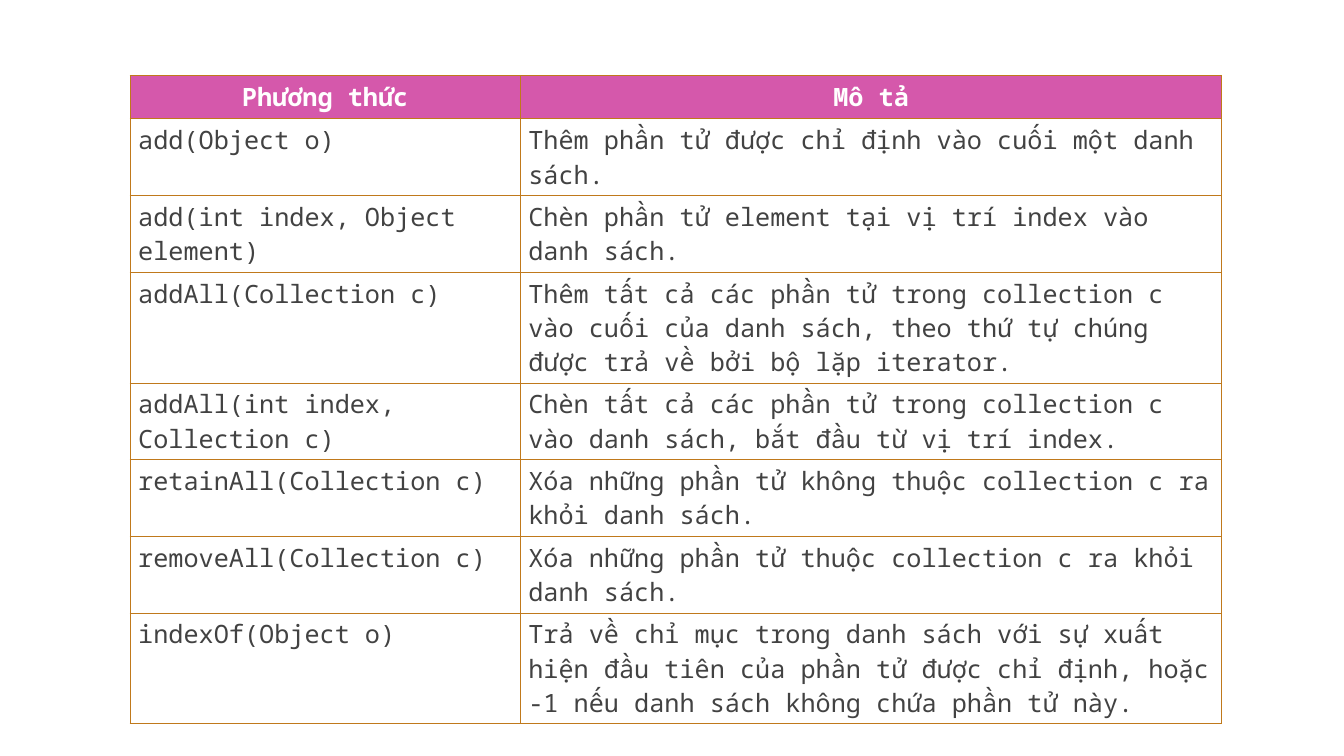
from lxml.etree import SubElement
from pptx import Presentation
from pptx.dml.color import RGBColor
from pptx.enum.text import MSO_ANCHOR as Anchor, PP_ALIGN as Align
from pptx.oxml.ns import qn
from pptx.util import Inches, Pt

HEADER = ("Phương thức", "Mô tả")
METHODS = [
    ("add(Object o)", "Thêm phần tử được chỉ định vào cuối một danh sách."),
    ("add(int index, Object element)",
     "Chèn phần tử element tại vị trí index vào danh sách."),
    ("addAll(Collection c)",
     "Thêm tất cả các phần tử trong collection c vào cuối của danh sách, "
     "theo thứ tự chúng được trả về bởi bộ lặp iterator."),
    ("addAll(int index, Collection c)",
     "Chèn tất cả các phần tử trong collection c vào danh sách, "
     "bắt đầu từ vị trí index."),
    ("retainAll(Collection c)",
     "Xóa những phần tử không thuộc collection c ra khỏi danh sách."),
    ("removeAll(Collection c)",
     "Xóa những phần tử thuộc collection c ra khỏi danh sách."),
    ("indexOf(Object o)",
     "Trả về chỉ mục trong danh sách với sự xuất hiện đầu tiên của phần tử "
     "được chỉ định, hoặc -1 nếu danh sách không chứa phần tử này."),
]
COLUMN_WIDTHS = (3.87, 6.96)
ROW_HEIGHTS = (0.43, 0.73, 0.73, 1.04, 0.73, 0.73, 0.73, 1.04)

FONT = "Noto Sans Mono"
PINK = RGBColor(0xD5, 0x58, 0xAB)
WHITE = RGBColor(0xFF, 0xFF, 0xFF)
GREY = RGBColor(0x42, 0x42, 0x42)
OCHRE = RGBColor(0xC0, 0x79, 0x1B)


def add_borders(cell):
    properties = cell._tc.get_or_add_tcPr()
    for position, side in enumerate(("lnL", "lnR", "lnT", "lnB")):
        line = SubElement(properties, qn(f"a:{side}"), w=str(Pt(0.8)))
        fill = SubElement(line, qn("a:solidFill"))
        SubElement(fill, qn("a:srgbClr"), val=str(OCHRE))
        properties.insert(position, line)  # borders come before the fill


def fill_cell(cell, text, is_header):
    cell.fill.solid()
    cell.fill.fore_color.rgb = PINK if is_header else WHITE
    cell.vertical_anchor = Anchor.MIDDLE if is_header else Anchor.TOP
    cell.margin_left = cell.margin_right = Inches(0.08)
    cell.margin_top = cell.margin_bottom = Inches(0.04)
    paragraph = cell.text_frame.paragraphs[0]
    paragraph.alignment = Align.CENTER if is_header else Align.LEFT
    run = paragraph.add_run()
    run.text = text
    run.font.name = FONT
    run.font.size = Pt(18)
    run.font.bold = is_header
    run.font.color.rgb = WHITE if is_header else GREY
    add_borders(cell)


def main():
    deck = Presentation()
    deck.slide_width, deck.slide_height = Inches(13.33), Inches(7.5)
    slide = deck.slides.add_slide(deck.slide_layouts[6])

    rows = [HEADER, *METHODS]
    methods_table = slide.shapes.add_table(
        len(rows), len(HEADER), Inches(1.29), Inches(0.75),
        Inches(sum(COLUMN_WIDTHS)), Inches(sum(ROW_HEIGHTS))).table
    methods_table.horz_banding = False
    for column, width in zip(methods_table.columns, COLUMN_WIDTHS):
        column.width = Inches(width)
    for row, height in zip(methods_table.rows, ROW_HEIGHTS):
        row.height = Inches(height)
    for r, texts in enumerate(rows):
        for c, text in enumerate(texts):
            fill_cell(methods_table.cell(r, c), text, is_header=r == 0)

    deck.save("out.pptx")


if __name__ == "__main__":
    main()
